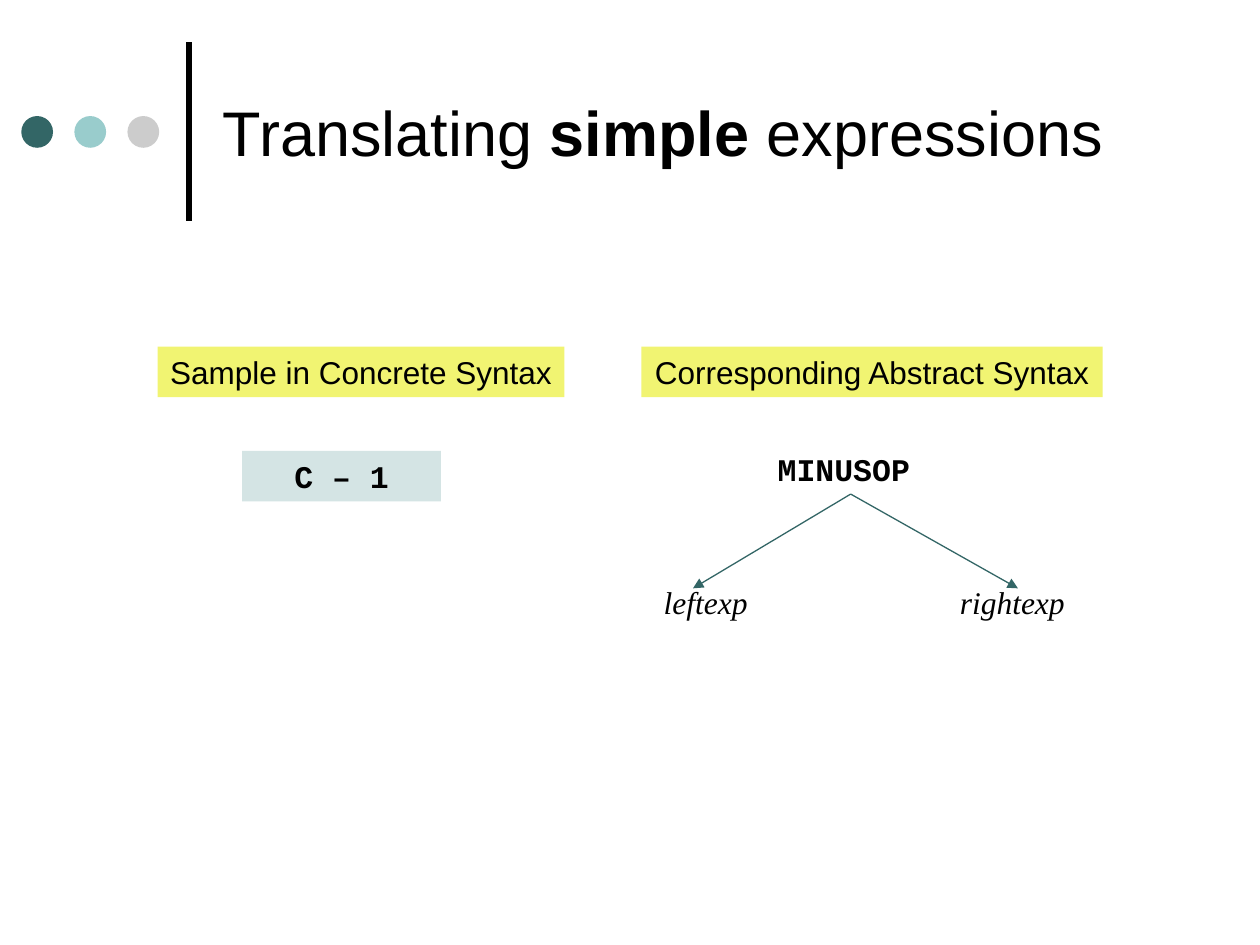
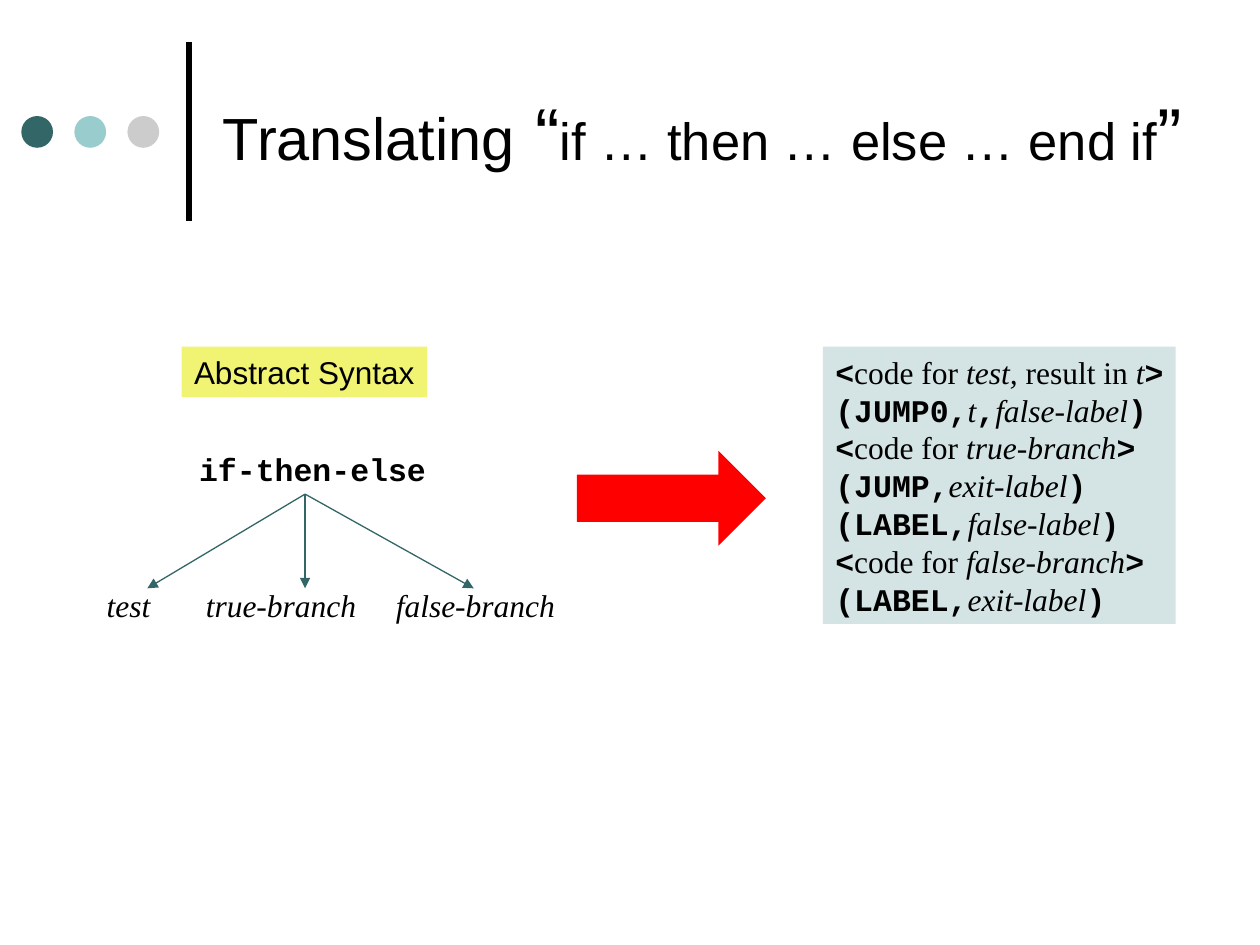
from dataclasses import dataclass
from typing import NamedTuple

import pptx
import pptx.dml.color
import pptx.enum.shapes
import pptx.enum.text
import pptx.oxml
import pptx.oxml.ns
import pptx.util
from pptx.util import Cm

SHAPES = pptx.enum.shapes.MSO_SHAPE
ALIGN = pptx.enum.text.PP_ALIGN
ANCHOR = pptx.enum.text.MSO_ANCHOR

# Shared colours and measures (cm)
BLACK, TEAL, RED = "000000", "336666", "FF0000"
HEADING_FILL, CODE_FILL = "F1F472", "D4E4E4"
DOT_COLOURS = (TEAL, "99CCCC", "CCCCCC")
LINE_HEIGHT = 1.02
HEADING_TOP = 6.99
ROOT_TOP, FORK_TOP, FORK_BOTTOM = 8.94, 9.96, 11.86


class Style(NamedTuple):
    name: str = "Arial"
    size: float = 18
    bold: bool = False
    italic: bool = False


class Run(NamedTuple):
    text: str
    style: Style


class Box(NamedTuple):
    left: float
    top: float
    width: float
    height: float = LINE_HEIGHT


@dataclass
class Tree:
    root: str
    root_box: Box
    leaves: list[str]
    leaves_box: Box
    leaf_tabs: list[float]
    apex: float
    tips: list[float]


PLAIN = Style()
CODE = Style("Courier New", bold=True)
PROSE = Style("Times New Roman")
SYMBOL = Style("Times New Roman", italic=True)


def rgb(colour: str) -> pptx.dml.color.RGBColor:
    return pptx.dml.color.RGBColor.from_string(colour)


def write_paragraph(paragraph, runs: list[Run], align=ALIGN.LEFT) -> None:
    """Put common font settings on the paragraph and the others on its runs."""
    paragraph.alignment = align
    paragraph.font.color.rgb = rgb(BLACK)
    text_runs = [paragraph.add_run() for _ in runs]
    for text_run, run in zip(text_runs, runs):
        text_run.text = run.text
    for field in Style._fields:
        values = [getattr(run.style, field) for run in runs]
        if field == "size":
            values = [pptx.util.Pt(value) for value in values]
        if len(set(values)) == 1:
            setattr(paragraph.font, field, values[0])
        else:
            for text_run, value in zip(text_runs, values):
                setattr(text_run.font, field, value)


def add_filled(slide, preset, box: Box, colour: str):
    shape = slide.shapes.add_shape(preset, *map(Cm, box))
    shape.shadow.inherit = False
    shape.fill.solid()
    shape.fill.fore_color.rgb = rgb(colour)
    shape.line.fill.background()
    return shape


def add_label(slide, box: Box, lines: list[list[Run]], colour: str = "",
              align=ALIGN.CENTER) -> None:
    if colour:
        label = add_filled(slide, SHAPES.RECTANGLE, box, colour)
    else:
        label = slide.shapes.add_textbox(*map(Cm, box))
    frame = label.text_frame
    frame.word_wrap = False
    frame.vertical_anchor = ANCHOR.TOP
    for index, runs in enumerate(lines):
        paragraph = frame.add_paragraph() if index else frame.paragraphs[0]
        write_paragraph(paragraph, runs, align)


def add_heading(slide, left: float, width: float, text: str) -> None:
    add_label(slide, Box(left, HEADING_TOP, width), [[Run(text, PLAIN)]], HEADING_FILL)


def add_line(slide, start: tuple[float, float], end: tuple[float, float],
             colour: str, width: float, arrow: bool = False) -> None:
    line = slide.shapes.add_connector(
        pptx.enum.shapes.MSO_CONNECTOR.STRAIGHT, *map(Cm, start + end))
    line.line.color.rgb = rgb(colour)
    line.line.width = pptx.util.Pt(width)
    properties = line._element.spPr
    if arrow:
        head = pptx.oxml.parse_xml(
            f'<a:tailEnd {pptx.oxml.ns.nsdecls("a")} type="triangle"/>')
        properties.ln.append(head)
    properties.append(pptx.oxml.parse_xml(f'<a:effectLst {pptx.oxml.ns.nsdecls("a")}/>'))


def add_tree(slide, tree: Tree) -> None:
    add_label(slide, tree.root_box, [[Run(tree.root, CODE)]])

    # Leaves share one line, spaced by tab stops
    leaves = slide.shapes.add_textbox(*map(Cm, tree.leaves_box)).text_frame
    leaves.word_wrap = True
    paragraph = leaves.paragraphs[0]
    stops = "".join(f'<a:tab pos="{Cm(tab)}" algn="l"/>' for tab in tree.leaf_tabs)
    paragraph._p.get_or_add_pPr().append(pptx.oxml.parse_xml(
        f'<a:tabLst {pptx.oxml.ns.nsdecls("a")}>{stops}</a:tabLst>'))
    write_paragraph(paragraph, [Run("\t".join(tree.leaves), SYMBOL)])

    for tip in tree.tips:
        add_line(slide, (tree.apex, FORK_TOP), (tip, FORK_BOTTOM), TEAL, 0.75, arrow=True)


def add_titled_slide(deck, title_runs: list[Run]):
    slide = deck.slides.add_slide(deck.slide_layouts[5])
    # Rule and dots beside the title
    add_line(slide, (3.81, 4.45), (3.81, 0.84), BLACK, 3)
    for index, colour in enumerate(DOT_COLOURS):
        add_filled(slide, SHAPES.OVAL, Box(0.43 + 1.07 * index, 2.34, 0.64, 0.64), colour)

    title = slide.shapes.title
    title.left, title.top, title.width, title.height = map(Cm, (4.24, 0.53, 20.12, 4.24))
    frame = title.text_frame
    frame.auto_size = pptx.enum.text.MSO_AUTO_SIZE.NONE
    frame.vertical_anchor = ANCHOR.MIDDLE
    write_paragraph(frame.paragraphs[0], title_runs)
    return slide


def build_simple_expressions(deck) -> None:
    regular = Style(size=36)
    slide = add_titled_slide(deck, [
        Run("Translating ", regular),
        Run("simple", regular._replace(bold=True)),
        Run(" expressions", regular),
    ])
    add_tree(slide, Tree(
        "MINUSOP", Box(15.42, ROOT_TOP, 3.18),
        ["leftexp", "rightexp"], Box(13.13, 11.63, 8.8), [5.97],
        apex=17.15, tips=[13.97, 20.52]))
    add_label(slide, Box(4.88, 9.09, 4.01), [[Run("C – 1", CODE)]], CODE_FILL)
    add_heading(slide, 3.18, 8.2, "Sample in Concrete Syntax")
    add_heading(slide, 12.93, 9.3, "Corresponding Abstract Syntax")


def code_for(branch: str) -> list[Run]:
    return [Run("<", CODE), Run("code for", PROSE), Run(f" {branch}", SYMBOL), Run(">", CODE)]


def instruction(name: str, label: str) -> list[Run]:
    return [Run(f"({name},", CODE), Run(label, SYMBOL), Run(")", CODE)]


def build_if_then_else(deck) -> None:
    quote = Style(size=42)
    slide = add_titled_slide(deck, [
        Run("Translating", Style(size=34)),
        Run(" “", quote),
        Run("if … then … else … end if", Style(size=30)),
        Run("”", quote),
    ])
    add_tree(slide, Tree(
        "if-then-else", Box(3.76, ROOT_TOP, 5.08),
        ["test", "true-branch", "false-branch"], Box(1.9, 11.68, 9.7), [2, 5.83],
        apex=6.15, tips=[2.97, 6.15, 9.55]))
    add_heading(slide, 3.66, 4.95, "Abstract Syntax")

    # Generated code
    add_label(slide, Box(16.59, HEADING_TOP, 7.11, 5.59), [
        [Run("<", CODE), Run("code for", PROSE), Run(" test, ", SYMBOL),
         Run("result in", PROSE), Run(" t", SYMBOL), Run(">", CODE)],
        [Run("(JUMP0,", CODE), Run("t", SYMBOL), Run(",", CODE),
         Run("false-label", SYMBOL), Run(")", CODE)],
        code_for("true-branch"),
        instruction("JUMP", "exit-label"),
        instruction("LABEL", "false-label"),
        code_for("false-branch"),
        instruction("LABEL", "exit-label"),
    ], CODE_FILL, ALIGN.LEFT)
    add_filled(slide, SHAPES.RIGHT_ARROW, Box(11.63, 9.09, 3.81, 1.91), RED)


def main() -> None:
    deck = pptx.Presentation()
    deck.slide_width, deck.slide_height = Cm(25.4), Cm(19.05)
    build_simple_expressions(deck)
    build_if_then_else(deck)
    deck.save("out.pptx")


if __name__ == "__main__":
    main()
